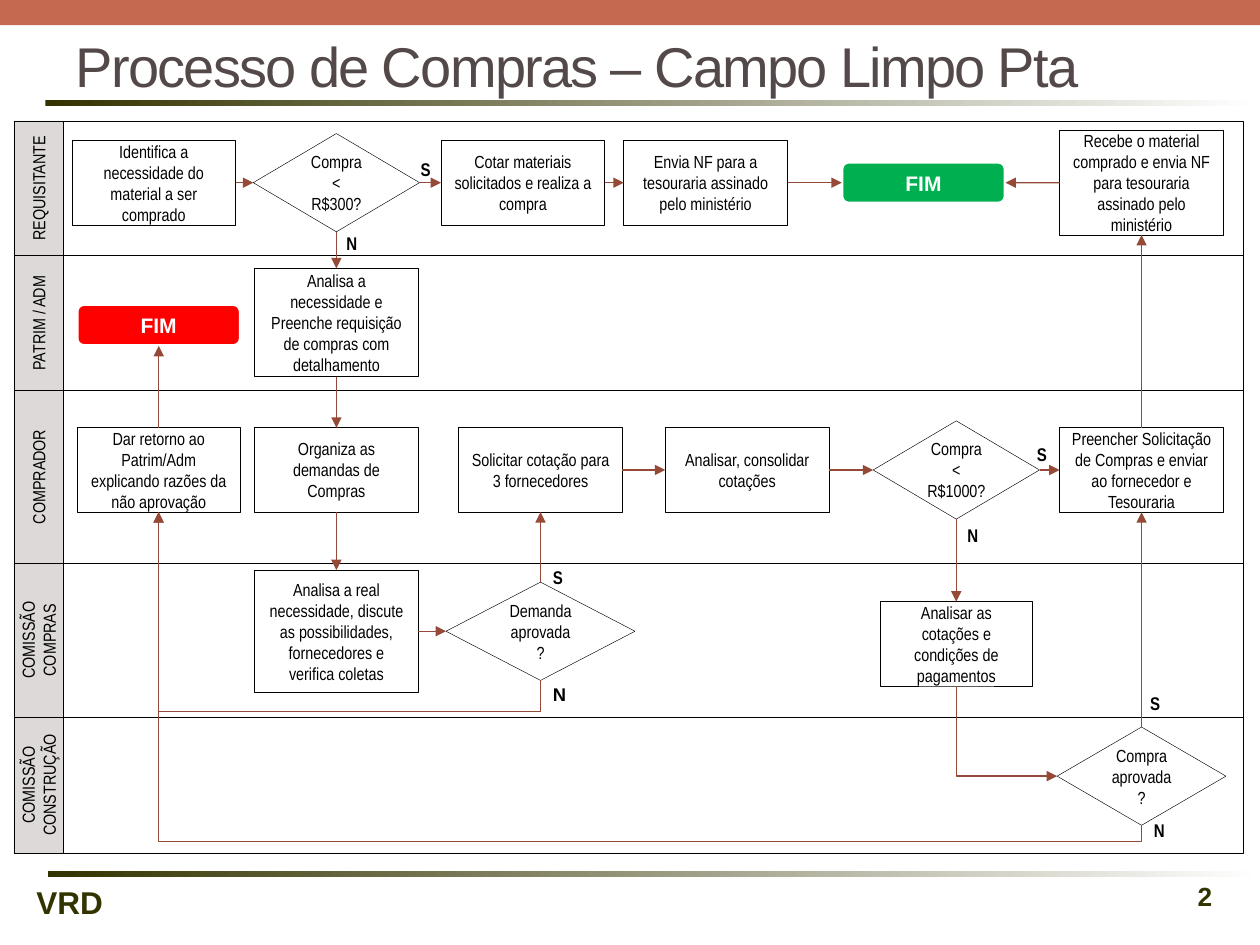
import pptx
import pptx.dml.color
import pptx.enum.shapes
import pptx.enum.text
import pptx.oxml
import pptx.oxml.ns
import pptx.util
from pptx.util import Inches

COLORS = {"banner": "C66951", "rule": "333300", "white": "FFFFFF", "title": "534949", "black": "000000",
          "label": "DED9D9", "arrow": "944A37", "stop": "FF0000", "done": "00B050"}
SHAPES = pptx.enum.shapes.MSO_SHAPE
CONNECTORS = pptx.enum.shapes.MSO_CONNECTOR
ALIGN = pptx.enum.text.PP_ALIGN
MIDDLE = pptx.enum.text.MSO_ANCHOR.MIDDLE
TOP, LEFT, BOTTOM, RIGHT = range(4)
NARROW = "Arial Narrow"
LABEL_WIDTH = 0.39
LANES = [("REQUISITANTE", 1.07), ("PATRIM / ADM", 1.07), ("COMPRADOR", 1.37),
         ("COMISSÃO COMPRAS", 1.22), ("COMISSÃO CONSTRUÇÃO", 1.08)]
KINDS = {"task": SHAPES.RECTANGLE, "decision": SHAPES.DIAMOND,
         "done": SHAPES.ROUNDED_RECTANGLE, "stop": SHAPES.ROUNDED_RECTANGLE}
STEPS = {
    "identify": ("task", 0, 1.11, 0.49, 1.3, 0.67, "Identifica a necessidade do material a ser comprado"),
    "small": ("decision", 0, 2.56, 0.49, 1.32, 0.78, "Compra\n<\nR$300?"),
    "buy": ("task", 0, 4.04, 0.49, 1.3, 0.67, "Cotar materiais solicitados e realiza a compra"),
    "invoice": ("task", 0, 5.49, 0.49, 1.3, 0.67, "Envia NF para a tesouraria assinado pelo ministério"),
    "done": ("done", 0, 7.22, 0.49, 1.3, 0.33, "FIM"),
    "receive": ("task", 0, 8.95, 0.49, 1.3, 0.83,
                "Recebe o material comprado e envia NF para tesouraria assinado pelo ministério"),
    "stop": ("stop", 1, 1.15, 0.55, 1.3, 0.33, "FIM"),
    "request": ("task", 1, 2.56, 0.53, 1.3, 0.86,
                "Analisa a necessidade e Preenche requisição de compras com detalhamento"),
    "return": ("task", 2, 1.15, 0.63, 1.3, 0.67, "Dar retorno ao Patrim/Adm explicando razões da não aprovação"),
    "organize": ("task", 2, 2.56, 0.63, 1.3, 0.67, "Organiza as demandas de Compras"),
    "quote": ("task", 2, 4.18, 0.63, 1.3, 0.67, "Solicitar cotação para 3 fornecedores"),
    "compare": ("task", 2, 5.82, 0.63, 1.3, 0.67, "Analisar, consolidar\ncotações"),
    "large": ("decision", 2, 7.48, 0.63, 1.32, 0.78, "Compra\n< R$1000?"),
    "order": ("task", 2, 8.95, 0.63, 1.3, 0.67,
              "Preencher Solicitação de Compras e enviar ao fornecedor e Tesouraria"),
    "need": ("task", 3, 2.56, 0.54, 1.3, 0.97,
             "Analisa a real necessidade, discute as possibilidades, fornecedores e verifica coletas"),
    "demand": ("decision", 3, 4.18, 0.54, 1.5, 0.78, "Demanda aprovada\n?"),
    "terms": ("task", 3, 7.48, 0.64, 1.2, 0.67, "Analisar as cotações e condições de pagamentos"),
    "approval": ("decision", 4, 8.95, 0.47, 1.34, 0.78, "Compra\naprovada?"),
}
ARROWS = [
    ("identify", RIGHT, "small", LEFT), ("small", RIGHT, "buy", LEFT), ("small", BOTTOM, "request", TOP),
    ("buy", RIGHT, "invoice", LEFT), ("invoice", RIGHT, "done", LEFT), ("receive", LEFT, "done", RIGHT),
    ("request", BOTTOM, "organize", TOP), ("organize", BOTTOM, "need", TOP), ("need", RIGHT, "demand", LEFT),
    ("demand", TOP, "quote", BOTTOM), ("quote", RIGHT, "compare", LEFT), ("compare", RIGHT, "large", LEFT),
    ("large", RIGHT, "order", LEFT), ("large", BOTTOM, "terms", TOP), ("order", TOP, "receive", BOTTOM),
    ("approval", TOP, "order", BOTTOM), ("return", TOP, "stop", BOTTOM),
]
ELBOWS = [("demand", "return", 0.25), ("approval", "return", 0.13), ("terms", "approval", None)]
ANSWERS = [
    ("N", 2.54, 0.83, NARROW), ("S", 3.13, 0.25, NARROW), ("N", 4.18, 4.41, "Arial"), ("S", 4.18, 3.48, NARROW),
    ("S", 8.02, 2.51, NARROW), ("N", 7.47, 3.15, NARROW), ("S", 8.92, 4.48, NARROW), ("N", 8.95, 5.49, NARROW),
]

def rgb(name):
    """Return the named colour."""
    return pptx.dml.color.RGBColor.from_string(COLORS[name])

def drawing(tag):
    """Return a new DrawingML element."""
    return pptx.oxml.parse_xml(f"<a:{tag} {pptx.oxml.ns.nsdecls('a')}/>")

def write(shape, text, size, color="black", font=NARROW, bold=False, align=ALIGN.CENTER):
    """Put formatted text in a shape."""
    shape.text_frame.text = text
    for paragraph in shape.text_frame.paragraphs:
        paragraph.alignment = align
        paragraph.font.size = pptx.util.Pt(size)
        paragraph.font.name = font
        paragraph.font.bold = bold
        paragraph.font.color.rgb = rgb(color)

def add_box(slide, kind, box, fill=None, line=None, weight=0.25):
    """Add a preset shape with optional fill and line."""
    shape = slide.shapes.add_shape(kind, *map(Inches, box))
    shape.shadow.inherit = False
    for format_part, color in ((shape.fill, fill), (shape.line.fill, line)):
        if color:
            format_part.solid()
            format_part.fore_color.rgb = rgb(color)
        else:
            format_part.background()
    shape.line.width = pptx.util.Pt(weight)
    shape.text_frame.word_wrap = True
    shape.text_frame.vertical_anchor = MIDDLE
    return shape

def add_text(slide, box, text, size, **style):
    """Add a one-line text box."""
    shape = slide.shapes.add_textbox(*map(Inches, box))
    shape.text_frame.word_wrap = False
    write(shape, text, size, bold=True, **style)

def draw_frame(slide, box):
    """Draw the banner, title, rules and footer."""
    left, top, width, height = box
    add_box(slide, SHAPES.RECTANGLE, (left, top, width, 0.2), "banner")
    for x, y in ((0.36, 0.79), (0.38, height - 0.59)):
        rule = add_box(slide, SHAPES.RECTANGLE, (left + x, top + y, 9.62, 0.05))
        rule.fill.gradient()
        rule.fill.gradient_angle = 0
        for stop, name in zip(rule.fill.gradient_stops, ("rule", "white")):
            stop.color.rgb = rgb(name)
    bottom = top + height
    add_text(slide, (left + 0.19, bottom - 0.54, 0.74, 0.4), "VRD", 18, color="rule", font="Arial", align=ALIGN.LEFT)
    add_text(slide, (left + 9.16, bottom - 0.56, 0.56, 0.33), "2", 15, color="rule", font="Arial", align=ALIGN.RIGHT)
    title = slide.shapes.title
    title.left, title.top, title.width, title.height = map(Inches, (left + 0.5, top + 0.2, 9, 0.64))
    title.text_frame.auto_size = pptx.enum.text.MSO_AUTO_SIZE.NONE
    title.text_frame.vertical_anchor = MIDDLE
    write(title, "Processo de Compras – Campo Limpo Pta", 32, "title", "Arial", align=ALIGN.LEFT)
    title.text_frame.paragraphs[0].runs[0]._r.get_or_add_rPr().set("spc", "-100")

def draw_lanes(slide, box):
    """Draw the swimlanes and return the top of each."""
    left, top, width, height = box
    tops = []
    for name, lane_height in LANES:
        tops.append(top)
        add_box(slide, SHAPES.RECTANGLE, (left, top, width, lane_height), line="black")
        label = add_box(slide, SHAPES.RECTANGLE, (left, top, LABEL_WIDTH, lane_height), "label", "black")
        label.text_frame._txBody.bodyPr.set("vert", "vert270")
        write(label, name, 10)
        top += lane_height
    return tops

def draw_steps(slide, left, tops):
    """Draw every step in its lane and return them by name."""
    steps = {}
    for name, (kind, lane, x, y, width, height, text) in STEPS.items():
        place = (left + x - width / 2, tops[lane] + y - height / 2, width, height)
        if kind in COLORS:
            steps[name] = add_box(slide, KINDS[kind], place, kind, "white", 2)
            write(steps[name], text, 12, "white", "Arial", True)
        else:
            steps[name] = add_box(slide, KINDS[kind], place, line="black")
            write(steps[name], text, 10)
    return steps

def add_arrow(slide, kind):
    """Add a connector with a triangle at its end."""
    arrow = slide.shapes.add_connector(kind, 0, 0, 0, 0)
    arrow.line.color.rgb = rgb("arrow")
    arrow.line.width = pptx.util.Pt(0.75)
    arrow.line._get_or_add_ln().append(drawing("tailEnd"))
    arrow.line._get_or_add_ln()[-1].set("type", "triangle")
    arrow._element.spPr.append(drawing("effectLst"))
    return arrow

def add_elbow(slide, source, target, drop):
    """Add an arrow that leaves downwards, then loops under or turns into the target."""
    x1, y1 = source.left + source.width // 2, source.top + source.height
    x2, y2 = target.left, target.top + target.height // 2
    if drop:
        x2, y2 = target.left + target.width // 2, target.top + target.height
    arrow = add_arrow(slide, CONNECTORS.ELBOW)
    arrow.width, arrow.height = abs(y2 - y1), abs(x2 - x1)
    arrow.left, arrow.top = (x1 + x2 - arrow.width) // 2, (y1 + y2 - arrow.height) // 2
    frame, geometry = arrow._element.spPr[:2]
    frame.set("rot", str((90 if x2 < x1 else 270) * 60000))
    frame.set("flipH", "1")
    if drop:
        guide = drawing("gd")
        guide.set("name", "adj1")
        guide.set("fmla", f"val {round(-100000 * Inches(drop) / arrow.width)}")
        geometry[0].append(guide)
    else:
        geometry.set("prst", "bentConnector2")

def draw_flow(slide, box):
    """Draw the lanes, steps, arrows and answers of the process."""
    left, top = box[:2]
    steps = draw_steps(slide, left, draw_lanes(slide, box))
    for source, source_side, target, target_side in ARROWS:
        arrow = add_arrow(slide, CONNECTORS.STRAIGHT)
        arrow.begin_connect(steps[source], source_side)
        arrow.end_connect(steps[target], target_side)
    for source, target, drop in ELBOWS:
        add_elbow(slide, steps[source], steps[target], drop)
    for text, x, y, font in ANSWERS:
        add_text(slide, (left + x, top + y, 0.28, 0.28), text, 10.5, font=font, align=ALIGN.LEFT)

presentation = pptx.Presentation()
presentation.slide_width, presentation.slide_height = Inches(10), Inches(7.5)
slide = presentation.slides.add_slide(presentation.slide_layouts[5])
draw_frame(slide, (0, 0, 10, 7.5))
draw_flow(slide, (0.11, 0.96, 9.76, 5.81))
presentation.save("out.pptx")
